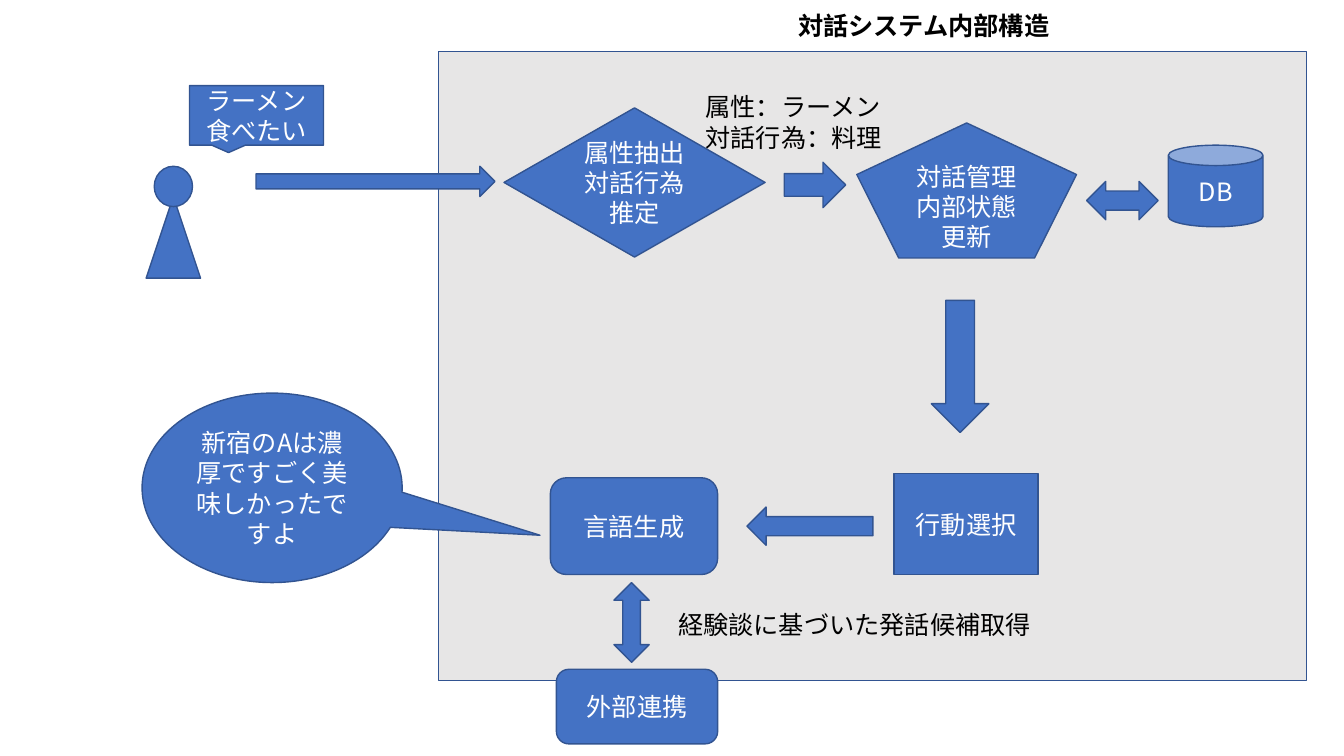
import pptx
import pptx.dml.color
import pptx.enum.shapes
import pptx.enum.text
import pptx.oxml.ns
import pptx.util

KIND = pptx.enum.shapes.MSO_SHAPE
ALIGN = pptx.enum.text.PP_ALIGN
COLORS = {"blue": "4472C4", "edge": "325491", "panel": "E7E6E6",
          "light": "FFFFFF", "dark": "000000"}
FONT = "Noto Sans CJK JP"
TEXT_SIZE = 18


class Diagram:
    """Draws on one page; places are (column, row, columns, rows) of a 0.1 inch grid."""

    columns, rows = 133.33, 75
    cell = pptx.util.Inches(0.1)

    def __init__(self):
        self.deck = pptx.Presentation()
        self.deck.slide_width = round(self.columns * self.cell)
        self.deck.slide_height = round(self.rows * self.cell)
        self.page = self.deck.slides.add_slide(self.deck.slide_layouts[6])

    def place(self, at):
        return [round(length * self.cell) for length in at]

    def color(self, name):
        return pptx.dml.color.RGBColor.from_string(COLORS[name])

    def set_text(self, frame, lines, color, align, bold=False):
        frame.text = "\n".join(lines)
        for para in frame.paragraphs:
            para.alignment = align
            font = para.font
            font.name, font.size, font.bold = FONT, pptx.util.Pt(TEXT_SIZE), bold
            font.color.rgb = self.color(color)
            # Japanese glyphs take their typeface from the a:ea element
            latin = para._p.pPr.find(pptx.oxml.ns.qn("a:defRPr")).find(pptx.oxml.ns.qn("a:latin"))
            east_asian = latin.makeelement(pptx.oxml.ns.qn("a:ea"), {"typeface": FONT})
            latin.addnext(east_asian)

    def shape(self, kind, at, *lines, fill="blue", adjust=()):
        box = self.page.shapes.add_shape(kind, *self.place(at))
        box.shadow.inherit = False
        box.fill.solid()
        box.fill.fore_color.rgb = self.color(fill)
        box.line.color.rgb = self.color("edge")
        box.line.width = pptx.util.Pt(1)
        for index, value in enumerate(adjust):
            box.adjustments[index] = value
        if lines:
            box.text_frame.vertical_anchor = pptx.enum.text.MSO_ANCHOR.MIDDLE
            self.set_text(box.text_frame, lines, "light", ALIGN.CENTER)

    def label(self, at, *lines, bold=False):
        frame = self.page.shapes.add_textbox(*self.place(at)).text_frame
        frame.word_wrap = False
        frame.auto_size = pptx.enum.text.MSO_AUTO_SIZE.SHAPE_TO_FIT_TEXT
        self.set_text(frame, lines, "dark", ALIGN.LEFT, bold)


def main():
    diagram = Diagram()
    diagram.shape(KIND.RECTANGLE, (43.5, 5.1, 86.1, 62.4), fill="panel")

    # User and request
    diagram.shape(KIND.ISOSCELES_TRIANGLE, (14.5, 19.5, 5.4, 8.1))
    diagram.shape(KIND.OVAL, (15.3, 16.5, 3.8, 4))
    diagram.shape(KIND.RECTANGULAR_CALLOUT, (18.8, 8.5, 13.3, 5.9), "ラーメン食べたい")
    diagram.shape(KIND.RIGHT_ARROW, (25.4, 16.5, 23.7, 3))

    # Understanding and dialogue state
    diagram.shape(KIND.DIAMOND, (50, 10.7, 25.9, 14.8), "属性抽出", "対話行為推定")
    diagram.label((69, 8.6, 19.7, 7.1), "属性：ラーメン", "対話行為：料理")
    diagram.shape(KIND.REGULAR_PENTAGON, (85, 12.2, 21.8, 13.4), "対話管理", "内部状態更新")
    diagram.shape(KIND.CAN, (115.9, 14.4, 9.4, 8.1), "DB")
    diagram.shape(KIND.RIGHT_ARROW, (77.8, 16.1, 6.1, 4.5))
    diagram.shape(KIND.LEFT_RIGHT_ARROW, (107.8, 18, 7.1, 3.8))
    diagram.shape(KIND.DOWN_ARROW, (92.4, 29.8, 5.7, 13.1))

    # Action choice, generation and reply
    diagram.shape(KIND.RECTANGLE, (88.7, 47, 14.3, 10), "行動選択")
    diagram.shape(KIND.ROUNDED_RECTANGLE, (54.6, 47.4, 16.6, 9.6), "言語生成")
    diagram.shape(KIND.LEFT_ARROW, (74.1, 50.3, 12.5, 3.8))
    diagram.shape(KIND.ROUNDED_RECTANGLE, (55.2, 66.4, 16, 7.4), "外部連携")
    diagram.shape(KIND.UP_DOWN_ARROW, (60.9, 57.8, 3.5, 7.9))
    diagram.label((66.3, 60, 37.4, 4), "経験談に基づいた発話候補取得")
    diagram.shape(KIND.OVAL_CALLOUT, (14.1, 39, 25.8, 18.8),
                  "新宿のAは濃厚ですごく美味しかったですよ", adjust=(1.03, 0.25))
    diagram.label((78.2, 0.5, 27.3, 4), "対話システム内部構造", bold=True)

    diagram.deck.save("out.pptx")


if __name__ == "__main__":
    main()
